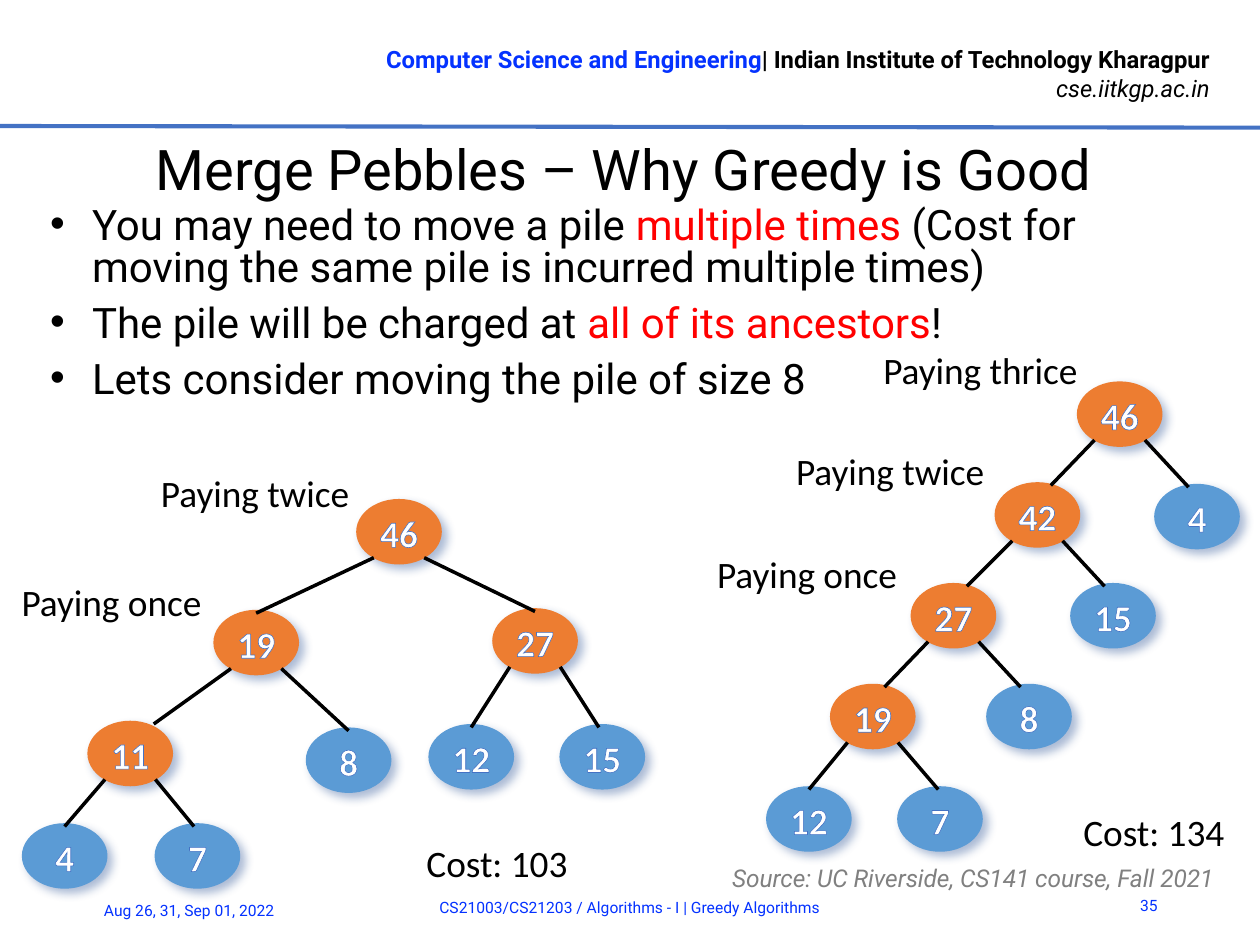
import pptx
import pptx.dml.color
import pptx.enum.shapes
import pptx.enum.text
import pptx.oxml
import pptx.util
from pptx.util import Inches

ALIGN = pptx.enum.text.PP_ALIGN
ANCHOR = pptx.enum.text.MSO_ANCHOR
Pt = pptx.util.Pt
XMLNS = 'xmlns:a="http://schemas.openxmlformats.org/drawingml/2006/main"'

# Colours
BLACK, WHITE, RED, GREY = "000000", "FFFFFF", "FF0000", "808080"
LINK_BLUE, RULE_BLUE, SHADOW_BLUE = "0432FF", "4472C4", "2F5597"
MERGED, PILE = "ED7D31", "5B9BD5"

# Formats
ROBOTO = {"name": "Roboto"}
HEADER = {**ROBOTO, "size": Pt(10.2)}
FOOTER = {**ROBOTO, "size": Pt(6.7)}
TITLE = {**ROBOTO, "size": Pt(24)}
BODY = {**ROBOTO, "size": Pt(18)}
SOURCE = {**ROBOTO, "size": Pt(10.5), "italic": True}
NOTE = {"name": "Calibri", "size": Pt(16)}
VALUE = {**NOTE, "bold": True}
SPACED = {"line_spacing": Pt(18), "space_before": Pt(3), "space_after": Pt(3)}
MIDDLE = {"vertical_anchor": ANCHOR.MIDDLE}
ONE_LINE = {"word_wrap": False}
CENTRED_VALUE = {"word_wrap": False, "vertical_anchor": ANCHOR.MIDDLE,
                 "margin_left": 0, "margin_right": 0,
                 "margin_top": Inches(0.01), "margin_bottom": 0}

# Content: each paragraph is a list of (text, colour, extra font values)
header = [
    [("Computer Science and Engineering", LINK_BLUE, {"bold": True}),
     ("| Indian Institute of Technology Kharagpur", BLACK, {"bold": True})],
    [("cse.iitkgp.ac.in", BLACK, {"italic": True})],
]
title = [[("Merge Pebbles – Why Greedy is Good", BLACK, {})]]
points = [
    [("You may need to move a pile ", BLACK, {}), ("multiple times", RED, {}),
     (" (Cost for moving the same pile is incurred multiple times)", BLACK, {})],
    [("The pile will be charged at ", BLACK, {}),
     ("all of its ancestors", RED, {}), ("!", BLACK, {})],
    [("Lets consider moving the pile of size 8", BLACK, {})],
]
source = [[("Source: UC Riverside, CS141 course, Fall 2021", GREY, {})]]
footers = [
    ("Aug 26, 31, Sep 01, 2022", (0.52, 5.27, 1.31, 0.3), ALIGN.LEFT),
    ("CS21003/CS21203 / Algorithms - I | Greedy Algorithms",
     (1.24, 5.25, 5.02, 0.3), ALIGN.CENTER),
    ("35", (6.62, 5.24, 0.37, 0.3), ALIGN.RIGHT),
]
notes = [
    ("Cost: 103", 2.44, 4.95, 1.05),
    ("Paying once", 0.03, 3.4, 1.29),
    ("Paying twice", 0.86, 2.75, 1.34),
    ("Cost: 134", 6.35, 4.77, 1.05),
    ("Paying once", 4.17, 3.23, 1.29),
    ("Paying twice", 4.64, 2.62, 1.34),
    ("Paying thrice", 5.16, 2.02, 1.37),
]

# Trees: (size, left, top, shift of the branch end from the node centre, children)
balanced_tree = (46, 2.12, 2.97, 0, [
    (19, 1.27, 3.63, 0, [
        (11, 0.52, 4.29, 0.14, [(4, 0.13, 4.9, 0, []), (7, 0.92, 4.9, -0.02, [])]),
        (8, 1.82, 4.33, 0, [])]),
    (27, 2.93, 3.62, 0, [(12, 2.55, 4.31, 0, []), (15, 3.33, 4.31, -0.02, [])]),
])
skewed_tree = (46, 6.41, 2.27, 0, [
    (42, 5.92, 2.87, 0.08, [
        (27, 5.42, 3.47, 0.08, [
            (19, 4.94, 4.07, 0.07, [(12, 4.56, 4.68, 0, []), (7, 5.34, 4.68, -0.01, [])]),
            (8, 5.87, 4.07, -0.05, [])]),
        (15, 6.37, 3.47, -0.05, [])]),
    (4, 6.87, 2.88, -0.05, []),
])
NODE_W, NODE_H = 0.51, 0.39
BRANCH_DX, BRANCH_DY, LANDING_DY = 0.15, 0.35, 0.02

# Slide in 4:3 format
deck = pptx.Presentation()
deck.slide_width = Inches(7.5)
deck.slide_height = deck.slide_width * 3 // 4
slide = deck.slides.add_slide(deck.slide_layouts[6])


def rgb(hex_colour):
    return pptx.dml.color.RGBColor.from_string(hex_colour)


def apply(target, values):
    for name, value in values.items():
        setattr(target, name, value)


def xml(markup):
    return pptx.oxml.parse_xml(markup)


def write(frame, paragraphs, font, frame_format, paragraph_format):
    apply(frame, {"word_wrap": True, **frame_format})
    for index, runs in enumerate(paragraphs):
        paragraph = frame.add_paragraph() if index else frame.paragraphs[0]
        apply(paragraph, paragraph_format)
        for text, colour, extra in runs:
            run = paragraph.add_run()
            run.text = text
            apply(run.font, {**font, **extra})
            run.font.color.rgb = rgb(colour)


def add_text(box, paragraphs, font, frame_format={}, paragraph_format={}):
    frame = slide.shapes.add_textbox(*map(Inches, box)).text_frame
    write(frame, paragraphs, font, frame_format, paragraph_format)
    return frame


def add_line(start, end, colour, width):
    line = slide.shapes.add_connector(
        pptx.enum.shapes.MSO_CONNECTOR.STRAIGHT, *map(Inches, start + end))
    line.line.color.rgb = rgb(colour)
    line.line.width = Pt(width)
    line._element.spPr.append(xml(f"<a:effectLst {XMLNS}/>"))


def add_node(size, left, top, colour):
    node = slide.shapes.add_shape(pptx.enum.shapes.MSO_SHAPE.OVAL,
                                  *map(Inches, (left, top, NODE_W, NODE_H)))
    node.shadow.inherit = False
    node.fill.solid()
    node.fill.fore_color.rgb = rgb(colour)
    node.line.fill.background()
    node._element.spPr.effectLst.append(xml(
        f'<a:outerShdw {XMLNS} blurRad="{Pt(4)}" dist="{Pt(3)}" dir="2700000" algn="tl" '
        f'rotWithShape="0"><a:srgbClr val="{SHADOW_BLUE}"><a:alpha val="40000"/>'
        '</a:srgbClr></a:outerShdw>'))
    write(node.text_frame, [[(str(size), WHITE, {})]], VALUE, CENTRED_VALUE,
          {"alignment": ALIGN.CENTER})
    # Thin blue outline around the digits
    digits = node.text_frame.paragraphs[0].runs[0]
    digits._r.get_or_add_rPr().insert(0, xml(
        f'<a:ln {XMLNS} w="{Pt(0.8)}"><a:solidFill><a:srgbClr val="{RULE_BLUE}"/>'
        '</a:solidFill></a:ln>'))


def add_tree(tree):
    size, left, top, _, children = tree
    add_node(size, left, top, MERGED if children else PILE)
    centre = left + NODE_W / 2
    for child, side in zip(children, (-1, 1)):
        add_tree(child)
        _, child_left, child_top, shift, _ = child
        add_line((centre + side * BRANCH_DX, top + BRANCH_DY),
                 (child_left + NODE_W / 2 + shift, child_top + LANDING_DY), BLACK, 1.5)


# Header and footer
add_text((1.91, 0.22, 5.39, 0.44), header, HEADER, ONE_LINE, {"alignment": ALIGN.RIGHT})
add_line((0, 0.75), (7.5, 0.76), RULE_BLUE, 1.75)
for text, box, alignment in footers:
    add_text(box, [[(text, LINK_BLUE, {})]], FOOTER, MIDDLE, {"alignment": alignment})

# Title, bullets and source
add_text((0.24, 0.79, 6.94, 0.41), title, TITLE,
         {**MIDDLE, "margin_left": 0, "margin_right": 0,
          "margin_top": Inches(0.01), "margin_bottom": 0},
         {"alignment": ALIGN.CENTER, "space_before": Pt(0.5)})
bullets = add_text((0.2, 1.18, 7.03, 4.05), points, BODY, {}, SPACED)
for point in bullets.paragraphs:
    properties = point._p.get_or_add_pPr()
    properties.set("marL", str(Inches(0.25)))
    properties.set("indent", str(Inches(-0.25)))
    properties.append(xml(f'<a:buFont {XMLNS} typeface="Arial"/>'))
    properties.append(xml(f'<a:buChar {XMLNS} char="•"/>'))
add_text((4.26, 5.09, 3.18, 0.2), source, SOURCE, MIDDLE, SPACED)

# Trees and their notes
for tree in (balanced_tree, skewed_tree):
    add_tree(tree)
for text, left, top, width in notes:
    add_text((left, top, width, 0.37), [[(text, BLACK, {})]], NOTE, ONE_LINE)

deck.save("out.pptx")
